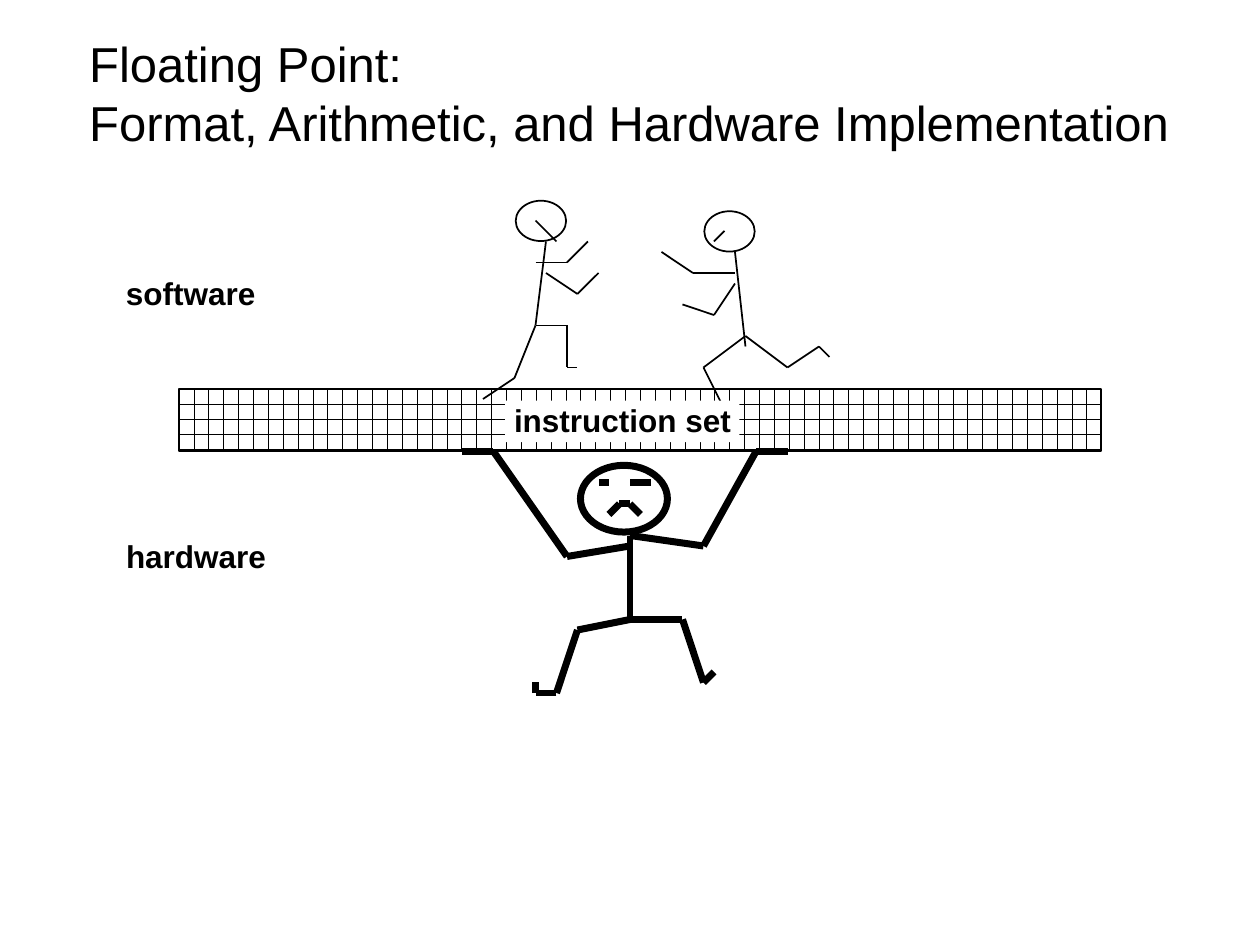
from itertools import pairwise
from lxml.etree import SubElement
from pptx import Presentation
from pptx.dml.color import RGBColor
from pptx.enum.dml import MSO_PATTERN as Pat
from pptx.enum.shapes import MSO_CONNECTOR as Conn, MSO_SHAPE as Shape
from pptx.enum.text import MSO_ANCHOR as Anchor, MSO_AUTO_SIZE as Auto, PP_ALIGN as Align
from pptx.oxml.ns import qn
from pptx.util import Inches, Pt

BLACK = RGBColor(0, 0, 0)
WHITE = RGBColor(255, 255, 255)
FONT = "Arial"
UNIT = 1 / 12

LEFT = [
    [(6, 4), (5, 12)],
    [(5, 12), (8, 12), (8, 16), (9, 16)],
    [(5, 12), (3, 17), (0, 19)],
    [(6, 7), (9, 9), (11, 7)],
    [(5, 6), (8, 6), (10, 4)],
    [(7, 4), (5, 2)],
]
RIGHT = [
    [(7, 4), (8, 13)],
    [(8, 12), (4, 15), (6, 19)],
    [(8, 12), (12, 15), (15, 13), (16, 14)],
    [(7, 7), (5, 10), (2, 9)],
    [(7, 6), (3, 6), (0, 4)],
    [(5, 3), (6, 2)],
]
LIFTER = [
    [(14, 6), (15, 5), (16, 5), (17, 6)],
    [(16, 3), (18, 3)],
    [(14, 3), (13, 3)],
    [(16, 8), (16, 16)],
    [(16, 16), (21, 16), (23, 22), (24, 21)],
    [(16, 16), (11, 17), (9, 23), (7, 23), (7, 22)],
    [(16, 8), (23, 9), (28, 0), (31, 0)],
    [(16, 9), (10, 10), (3, 0), (0, 0)],
]


def add_run(para, text, size, bold=False):
    """Add one styled run to a paragraph."""
    run = para.add_run()
    run.text = text
    font = run.font
    font.name, font.size, font.bold = FONT, Pt(size), bold
    font.color.rgb = BLACK


def add_form(slide, kind, box, weight):
    """Add an outlined, unfilled shape."""
    form = slide.shapes.add_shape(kind, *map(Inches, box))
    form.shadow.inherit = False
    form.fill.background()
    form.line.color.rgb = BLACK
    form.line.width = Pt(weight)
    return form


def add_line(slide, start, end, weight):
    """Add a straight black line."""
    line = slide.shapes.add_connector(Conn.STRAIGHT, *map(Inches, start + end))
    line.line.color.rgb = BLACK
    line.line.width = Pt(weight)
    SubElement(line._element.spPr, qn("a:effectLst"))


def add_title(slide, box, rows):
    """Place the title, one line for each row."""
    frame = slide.shapes.add_textbox(*map(Inches, box)).text_frame
    frame.word_wrap = True
    frame.vertical_anchor = Anchor.MIDDLE
    para = frame.paragraphs[0]
    for i, row in enumerate(rows):
        if i:
            para.add_line_break()
        add_run(para, row, 28)


def add_label(slide, box, text, space, fill=None):
    """Place a bold one-line label, on a plain ground if a fill is given."""
    label = slide.shapes.add_textbox(*map(Inches, box))
    if fill is not None:
        label.fill.solid()
        label.fill.fore_color.rgb = fill
    frame = label.text_frame
    frame.word_wrap = False
    frame.auto_size = Auto.NONE
    frame.margin_left, frame.margin_right = Inches(0.07), 0
    frame.margin_top = frame.margin_bottom = Inches(0.03)
    para = frame.paragraphs[0]
    para.alignment = Align.LEFT
    para.line_spacing = space
    add_run(para, text, 18, True)


def add_floor(slide, box):
    """Place the brick floor between software and hardware."""
    fill = add_form(slide, Shape.RECTANGLE, box, 1).fill
    fill.patterned()
    fill.pattern = Pat.HORIZONTAL_BRICK
    fill.fore_color.rgb = BLACK
    fill.back_color.rgb = WHITE


def add_figure(slide, spot, head, limbs, weight):
    """Draw a stick figure with its head and limbs set from its top left spot."""
    left, top = spot
    x, y, wide, high = head
    add_form(slide, Shape.OVAL, (left + x, top + y, wide, high), weight)
    for limb in limbs:
        joints = [(left + col * UNIT, top + row * UNIT) for col, row in limb]
        for start, end in pairwise(joints):
            add_line(slide, start, end, weight)


def main():
    """Build the slide and save it."""
    deck = Presentation()
    deck.slide_width, deck.slide_height = Inches(10), Inches(7.5)
    slide = deck.slides.add_slide(deck.slide_layouts[6])
    add_title(slide, (0.61, 0.55, 9.19, 0.37),
              ["Floating Point:", "Format, Arithmetic, and Hardware Implementation"])
    add_floor(slide, (1.42, 3.09, 7.32, 0.49))
    add_figure(slide, (46 * UNIT, 19 * UNIT), (0.26, 0.01, 0.4, 0.32), LEFT, 1)
    add_figure(slide, (63 * UNIT, 20 * UNIT), (0.34, 0.01, 0.4, 0.32), RIGHT, 1)
    add_figure(slide, (44 * UNIT, 43 * UNIT), (0.94, 0.11, 0.69, 0.53), LIFTER, 4)
    add_label(slide, (4.01, 3.18, 1.86, 0.33), "instruction set", 0.92, WHITE)
    add_label(slide, (0.93, 2.19, 1.17, 0.31), "software", 0.85)
    add_label(slide, (0.93, 4.28, 1.25, 0.31), "hardware", 0.85)
    deck.save("out.pptx")


if __name__ == "__main__":
    main()
